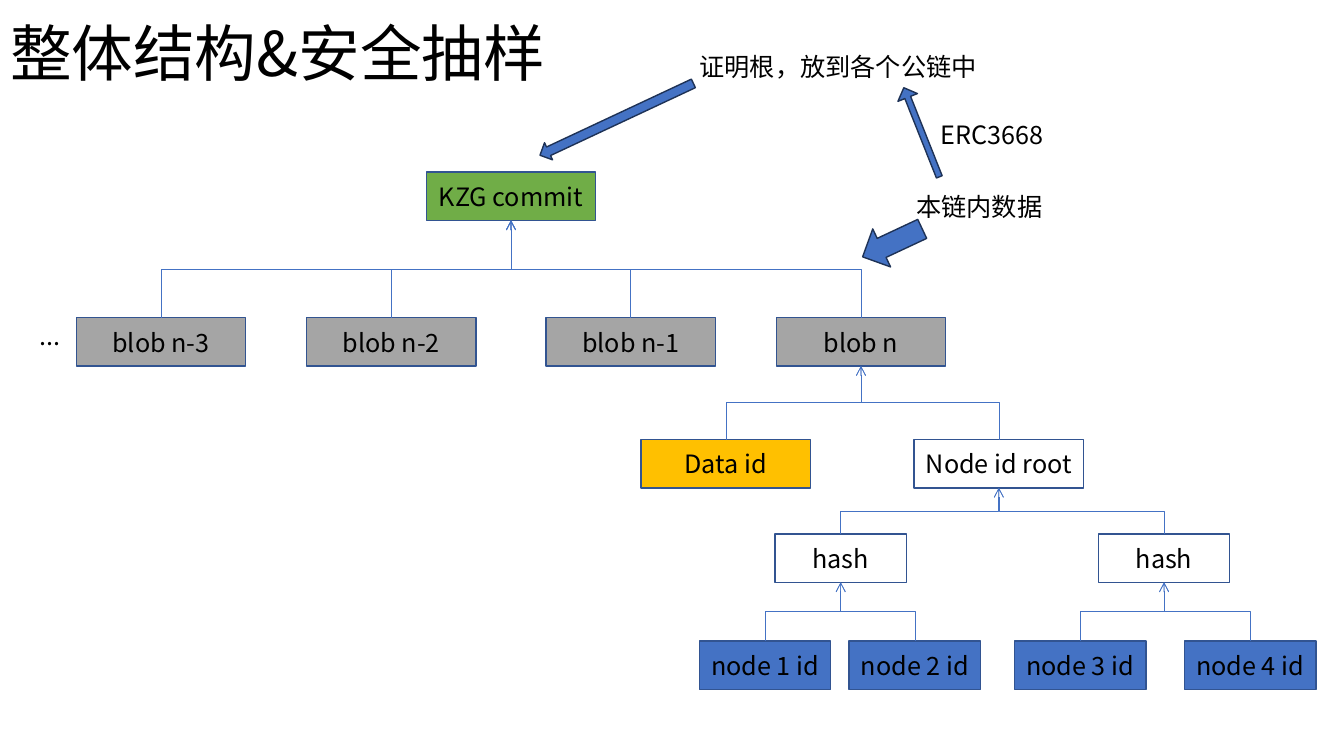
from dataclasses import dataclass

from lxml.etree import SubElement
from pptx import Presentation
from pptx.dml.color import RGBColor
from pptx.enum.shapes import MSO_CONNECTOR, MSO_SHAPE
from pptx.enum.text import MSO_ANCHOR, MSO_AUTO_SIZE, PP_ALIGN
from pptx.oxml.ns import qn
from pptx.util import Pt


@dataclass(frozen=True)
class Theme:
    """Colours, type and line sizes of the slide."""
    font: str = "Noto Sans CJK SC"
    ink: str = "000000"
    blue: str = "4472C4"
    grey: str = "A5A5A5"
    gold: str = "FFC000"
    green: str = "70AD47"
    box_line: str = "325491"
    arrow_line: str = "1E3256"
    title_size: float = 44
    body_size: float = 18
    outline: float = 1
    link: float = 0.5


@dataclass(frozen=True)
class Box:
    """A rectangle in points."""
    left: float
    top: float
    width: float
    height: float

    def inside(self, left, top, width, height):
        """Return a box placed relative to this one."""
        return Box(self.left + left, self.top + top, width, height)

    def lengths(self):
        """Return the four lengths for python-pptx."""
        return [Pt(value) for value in (self.left, self.top, self.width, self.height)]


@dataclass(frozen=True)
class Node:
    """A labelled box of the tree with the boxes below it."""
    label: str
    left: float
    fill: str = ""
    width: float = 121
    children: tuple = ()


THEME = Theme()
NODE_HEIGHT = 34.5
LEVEL_TOPS = (0, 104, 191, 258.5, 335)

HASHES = tuple(
    Node("hash", left, width=94, children=tuple(
        Node(f"node {number} id", node_left, THEME.blue, 94)
        for number, node_left in leaves))
    for left, leaves in ((532.5, ((1, 478.5), (2, 585.5))),
                         (763.5, ((3, 703.5), (4, 825)))))
BLOB_CHILDREN = (
    Node("Data id", 437, THEME.gold),
    Node("Node id root", 632, children=HASHES),
)
TREE = Node("KZG commit", 283.5, THEME.green, children=(
    Node("blob n-3", 33.5, THEME.grey),
    Node("blob n-2", 198, THEME.grey),
    Node("blob n-1", 369, THEME.grey),
    Node("blob n", 533.5, THEME.grey, children=BLOB_CHILDREN),
))


def write_text(frame, text, size=THEME.body_size, align=PP_ALIGN.LEFT,
               anchor=MSO_ANCHOR.TOP, wrap=True, spacing=1.0):
    """Write one formatted paragraph into a text frame."""
    frame.word_wrap = wrap
    frame.auto_size = MSO_AUTO_SIZE.NONE
    frame.vertical_anchor = anchor
    paragraph = frame.paragraphs[0]
    paragraph.alignment = align
    paragraph.line_spacing = spacing
    run = paragraph.add_run()
    run.text = text
    run.font.size = Pt(size)
    run.font.name = THEME.font
    run.font.color.rgb = RGBColor.from_string(THEME.ink)
    SubElement(run.font._element, qn("a:ea")).set("typeface", THEME.font)


def add_label(slide, text, box, wrap=True):
    """Add a plain text box."""
    write_text(slide.shapes.add_textbox(*box.lengths()).text_frame, text, wrap=wrap)


def add_filled_shape(slide, kind, box, fill, line):
    """Add a preset shape with its fill and outline."""
    shape = slide.shapes.add_shape(kind, *box.lengths())
    shape.shadow.inherit = False
    if fill:
        shape.fill.solid()
        shape.fill.fore_color.rgb = RGBColor.from_string(fill)
    else:
        shape.fill.background()
    shape.line.color.rgb = RGBColor.from_string(line)
    shape.line.width = Pt(THEME.outline)
    return shape


def add_link(slide, child, parent):
    """Join the top of a child to the bottom of its parent with an elbow arrow."""
    start_x, start_y = child.left + child.width // 2, child.top
    end_x, end_y = parent.left + parent.width // 2, parent.top + parent.height
    middle_x, middle_y = (start_x + end_x) // 2, (start_y + end_y) // 2
    half_rise, half_run = (start_y - end_y) // 2, (end_x - start_x) // 2
    connector = slide.shapes.add_connector(MSO_CONNECTOR.ELBOW, 0, 0, 0, 0)
    connector.begin_connect(child, 0)
    connector.end_connect(parent, 2)
    connector.begin_x, connector.begin_y = middle_x - half_rise, middle_y - half_run
    connector.end_x, connector.end_y = middle_x + half_rise, middle_y + half_run
    connector.line.color.rgb = RGBColor.from_string(THEME.blue)
    connector.line.width = Pt(THEME.link)
    properties = connector._element.spPr
    properties.find(qn("a:xfrm")).set("rot", str(270 * 60000))
    SubElement(properties.find(qn("a:ln")), qn("a:tailEnd")).set("type", "arrow")
    SubElement(properties, qn("a:effectLst"))


def add_node(slide, box, node, level=0):
    """Draw a node, everything below it and the links between them."""
    place = box.inside(node.left, LEVEL_TOPS[level], node.width, NODE_HEIGHT)
    shape = add_filled_shape(slide, MSO_SHAPE.RECTANGLE, place, node.fill, THEME.box_line)
    write_text(shape.text_frame, node.label, align=PP_ALIGN.CENTER, anchor=MSO_ANCHOR.MIDDLE)
    for child in node.children:
        add_link(slide, add_node(slide, box, child, level + 1), shape)
    return shape


def add_title(slide, box):
    """Place and write the slide title."""
    title = slide.shapes.title
    title.left, title.top, title.width, title.height = box.lengths()
    write_text(title.text_frame, "整体结构&安全抽样", size=THEME.title_size,
               anchor=MSO_ANCHOR.MIDDLE, spacing=0.9)


def add_tree(slide, box):
    """Draw the commitment tree and the mark for earlier blobs."""
    add_node(slide, box, TREE)
    add_label(slide, "...", box.inside(0, 102.5, 36.5, 29))


def add_annotations(slide, box):
    """Draw the remarks at the upper right and their block arrows."""
    add_label(slide, "证明根，放到各个公链中", box.inside(112.5, 0, 214.5, 29), wrap=False)
    add_label(slide, "本链内数据", box.inside(267.5, 100, 105, 29), wrap=False)
    add_label(slide, "ERC3668", box.inside(284.5, 49, 93, 29))
    arrows = (
        (box.inside(0, 45.5, 121, 13.5), 334.9, 0.5),
        (box.inside(234, 125.5, 47, 30), 334.9, 0.5),
        (box.inside(244, 54, 68.5, 15), 68.3, 0.29),
    )
    for place, rotation, thickness in arrows:
        arrow = add_filled_shape(slide, MSO_SHAPE.LEFT_ARROW, place,
                                 THEME.blue, THEME.arrow_line)
        arrow.rotation = rotation
        arrow.adjustments[0] = thickness


def main():
    """Build the slide and save it."""
    presentation = Presentation()
    presentation.slide_width, presentation.slide_height = Pt(960), Pt(540)
    slide = presentation.slides.add_slide(presentation.slide_layouts[5])
    add_title(slide, Box(0, -11.5, 828, 104.5))
    add_tree(slide, Box(21, 123, 918, 370))
    add_annotations(slide, Box(380, 33, 378, 156))
    presentation.save("out.pptx")


if __name__ == "__main__":
    main()
